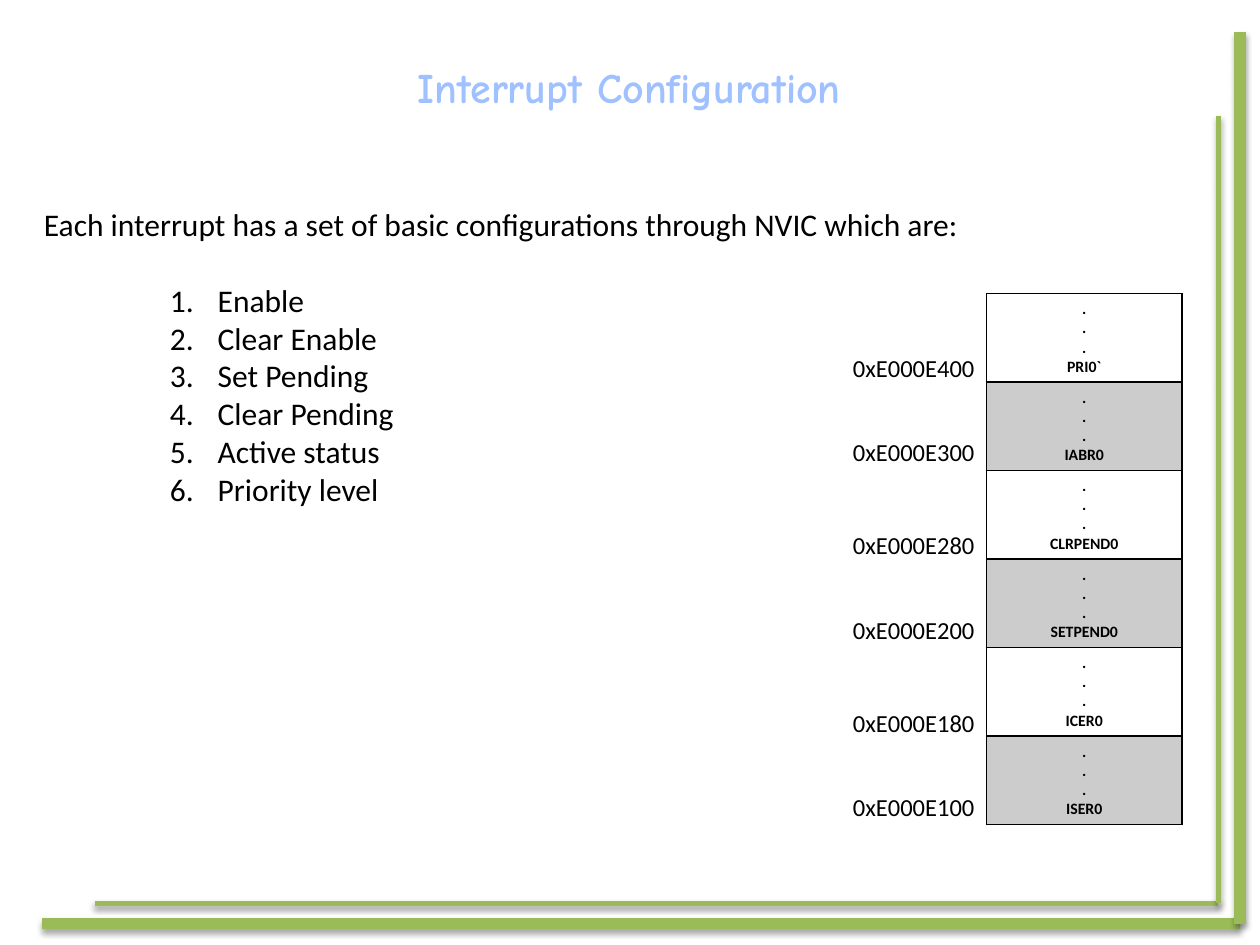
"""Build the interrupt configuration slide with its NVIC register map."""
import pptx
import pptx.dml.color
import pptx.enum.shapes
import pptx.enum.text
import pptx.oxml
import pptx.oxml.ns
import pptx.util

TITLE = "Interrupt Configuration"
INTRO = "Each interrupt has a set of basic configurations through NVIC which are:"
SETTINGS = ["Enable", "Clear\u2002Enable".replace("\u2002", " "), "Set Pending",
            "Clear Pending", "Active status", "Priority level"]
REGISTERS = [("0xE000E400", "PRI0`"), ("0xE000E300", "IABR0"),
             ("0xE000E280", "CLRPEND0"), ("0xE000E200", "SETPEND0"),
             ("0xE000E180", "ICER0"), ("0xE000E100", "ISER0")]
COLORS = {"green": "9BBB59", "title": "A0C1FF", "ink": "000000"}
BODY_FONT, TITLE_FONT = "Calibri", "Comic Neue"
WIDTH, HEIGHT = 10, 7.5
INNER, OUTER = (9.67, 7.17), (9.84, 7.33)
FRAME = [((0.75, INNER[1]), INNER, 3), ((0.33, OUTER[1]), OUTER, 6.75),
         (OUTER, (OUTER[0], 0.25), 6.75), (INNER, (INNER[0], 0.92), 3)]
MAP_LEFT, MAP_TOP, MAP_WIDTH, ROW_HEIGHT = 7.83, 2.33, 1.55, 0.7
ADDRESS_LEFT, ADDRESS_TOP, PAIR_PITCH, PAIR_STEP = 6.67, 2.75, 1.41, 0.67

inches = pptx.util.Inches
centered = pptx.enum.text.PP_ALIGN.CENTER
NS = pptx.oxml.ns.nsdecls("a")
SHADOW = (f'<a:effectLst {NS}><a:outerShdw blurRad="40000" dist="23000" dir="5400000" '
          f'rotWithShape="0"><a:srgbClr val="{COLORS["ink"]}"><a:alpha val="35000"/>'
          '</a:srgbClr></a:outerShdw></a:effectLst>')


def rgb(name):
    return pptx.dml.color.RGBColor.from_string(COLORS[name])


def style(frame, size, font=BODY_FONT, color="ink", bold=False):
    for paragraph in frame.paragraphs:
        for run in paragraph.runs:
            run.font.size = pptx.util.Pt(size)
            run.font.name = font
            run.font.bold = bold
            run.font.color.rgb = rgb(color)


def add_text(slide, box, text, wrap=True):
    frame = slide.shapes.add_textbox(*map(inches, box)).text_frame
    frame.word_wrap = wrap
    frame.text = text
    return frame


def add_frame(slide):
    for start, end, weight in FRAME:
        rule = slide.shapes.add_connector(
            pptx.enum.shapes.MSO_CONNECTOR.STRAIGHT, *map(inches, start + end))
        rule.line.color.rgb = rgb("green")
        rule.line.width = pptx.util.Pt(weight)
        rule._element.spPr.append(pptx.oxml.parse_xml(SHADOW))


def add_settings(slide):
    body = add_text(slide, (0.25, 1.58, 8.17, 2.52), "\n".join([INTRO] + SETTINGS))
    style(body, 18)
    items = body.paragraphs[1:]
    items[0].space_before = pptx.util.Pt(21.6)
    for item in items:
        item.level = 1
        properties = item._p.get_or_add_pPr()
        properties.set("marL", str(inches(1.38)))
        properties.set("indent", str(inches(-0.38)))
        properties.append(pptx.oxml.parse_xml(f'<a:buAutoNum {NS} type="arabicPeriod"/>'))


def add_register_map(slide):
    count = len(REGISTERS)
    table = slide.shapes.add_table(
        count, 1, *map(inches, (MAP_LEFT, MAP_TOP, MAP_WIDTH, ROW_HEIGHT * count))).table
    table.first_row = table.horz_banding = False
    for row, (address, register) in enumerate(REGISTERS):
        cell = table.cell(row, 0)
        cell.text = "\n".join([".", ".", ".", register])
        style(cell.text_frame, 9, bold=True)
        for paragraph in cell.text_frame.paragraphs:
            paragraph.alignment = centered
        properties = cell._tc.get_or_add_tcPr()
        for side in "LRTB":
            properties.append(pptx.oxml.parse_xml(
                f'<a:ln{side} {NS} w="12700"><a:solidFill><a:srgbClr val="{COLORS["ink"]}"/>'
                f'</a:solidFill></a:ln{side}>'))
        if row % 2:
            cell.fill.solid()
            cell.fill.fore_color.rgb = rgb("ink")
            shade = properties.find(".//" + pptx.oxml.ns.qn("a:solidFill") + "[last()]")
            shade = properties.findall(pptx.oxml.ns.qn("a:solidFill"))[0]
            shade[0].append(pptx.oxml.parse_xml(f'<a:alpha {NS} val="20000"/>'))
        else:
            cell.fill.background()
        top = ADDRESS_TOP + row // 2 * PAIR_PITCH + row % 2 * PAIR_STEP
        style(add_text(slide, (ADDRESS_LEFT, top, 1.25, 0.34), address), 14)


def main():
    deck = pptx.Presentation()
    deck.slide_width, deck.slide_height = inches(WIDTH), inches(HEIGHT)
    slide = deck.slides.add_slide(deck.slide_layouts[6])
    add_frame(slide)
    title = add_text(slide, (3.21, 0.44, 3.57, 0.5), TITLE, wrap=False)
    title.paragraphs[0].alignment = centered
    style(title, 24, TITLE_FONT, "title", bold=True)
    add_settings(slide)
    add_register_map(slide)
    deck.save("out.pptx")


if __name__ == "__main__":
    main()
